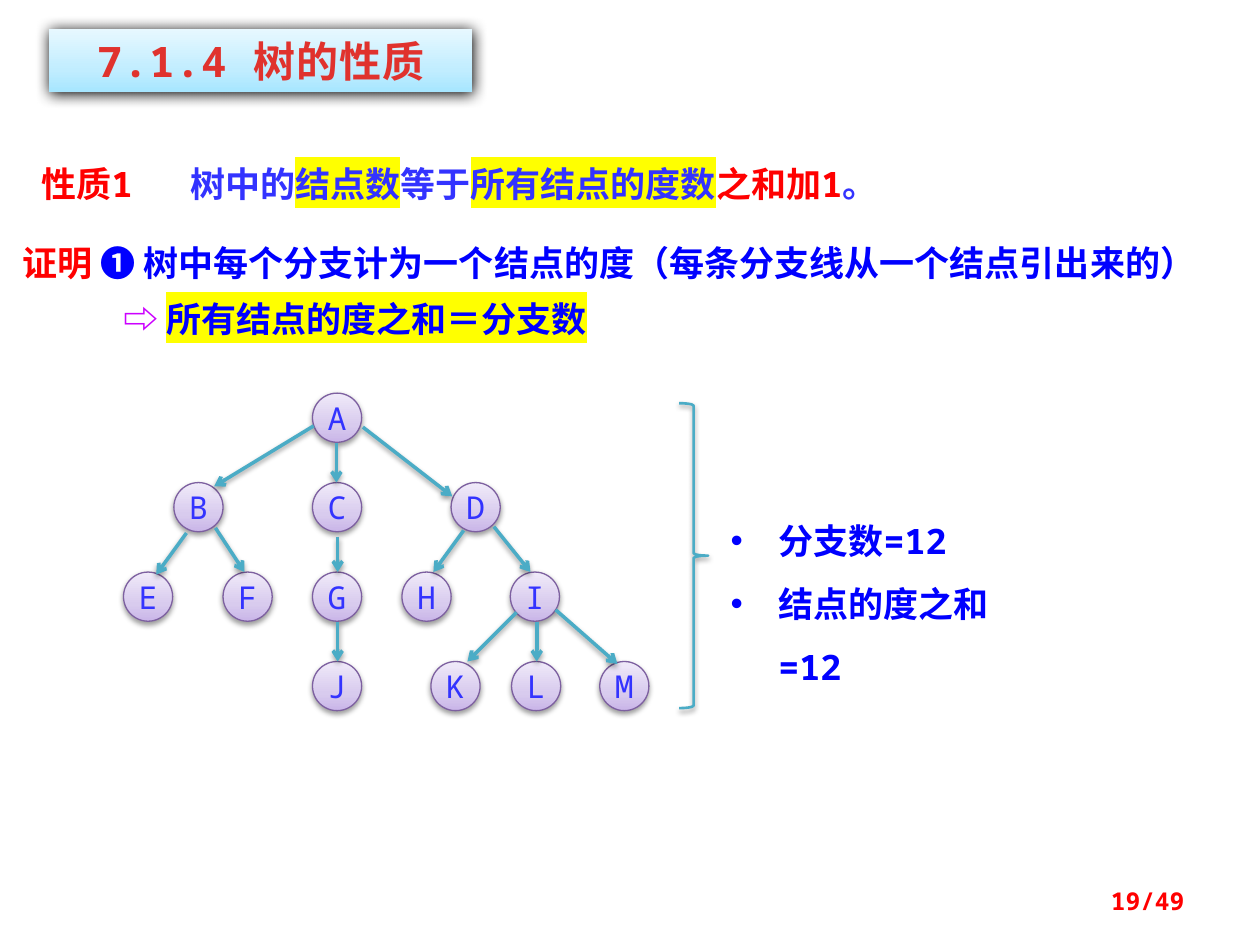
import copy
from dataclasses import dataclass
from typing import Optional, Sequence

import pptx
import pptx.util
import pptx.dml.color
import pptx.enum.shapes
import pptx.enum.text
import pptx.oxml
import pptx.oxml.ns
from pptx.util import Inches

qn = pptx.oxml.ns.qn
Pt = pptx.util.Pt
ALIGN = pptx.enum.text.PP_ALIGN
ANCHOR = pptx.enum.text.MSO_ANCHOR
SHAPE = pptx.enum.shapes.MSO_SHAPE


@dataclass(frozen=True)
class Theme:
    font: str = "Noto Sans Mono"
    title_size: int = 24
    body_size: int = 20
    node_size: int = 18
    page_size: int = 14
    red: str = "FF0000"
    blue: str = "0000FF"
    soft_blue: str = "3333FF"
    magenta: str = "CC00FF"
    yellow: str = "FFFF00"
    title: str = "E0322D"
    teal: str = "4BACC6"
    node_line: str = "7D60A0"
    title_fill: tuple = ((0, "A7E6FF"), (0.35, "C1EDFF"), (1, "E7F8FF"))
    node_fill: tuple = ((0, "C9B5E8"), (0.35, "D8CBEE"), (1, "F0EAF9"))


@dataclass(frozen=True)
class Shadow:
    alpha: int
    blur: float
    dist: float


@dataclass(frozen=True)
class Span:
    text: str
    color: str
    highlight: Optional[str] = None


@dataclass(frozen=True)
class Node:
    name: str
    x: float
    level: int


@dataclass(frozen=True)
class Branch:
    x1: float
    y1: float
    x2: float
    y2: float


T = Theme()
SOFT = Shadow(38, 3.1, 1.6)
STRONG = Shadow(100, 8.5, 1)
NODE_SIZE = 0.39
TREE_TOP, LEVEL_GAP = 3.12, 0.71

NODES = [
    Node("A", 2.48, 0),
    Node("B", 1.38, 1), Node("C", 2.48, 1), Node("D", 3.58, 1),
    Node("E", 0.98, 2), Node("F", 1.77, 2), Node("G", 2.48, 2),
    Node("H", 3.19, 2), Node("I", 4.05, 2),
    Node("J", 2.48, 3), Node("K", 3.42, 3), Node("L", 4.06, 3), Node("M", 4.76, 3),
]
BRANCHES = [
    Branch(2.49, 3.38, 1.7, 3.86), Branch(2.67, 3.52, 2.67, 3.83), Branch(2.88, 3.39, 3.59, 3.94),
    Branch(1.48, 4.23, 1.24, 4.56), Branch(1.71, 4.19, 1.94, 4.54), Branch(2.68, 4.26, 2.68, 4.54),
    Branch(3.68, 4.21, 3.44, 4.54), Branch(3.92, 4.18, 4.21, 4.54), Branch(2.68, 4.94, 2.68, 5.25),
    Branch(4.1, 4.86, 3.71, 5.25), Branch(4.26, 4.94, 4.26, 5.25), Branch(4.41, 4.84, 4.9, 5.27),
]


def rgb(color: str):
    return pptx.dml.color.RGBColor.from_string(color)


def add_xml(parent, tag: str, **attrs):
    el = parent.makeelement(qn(tag), {k: str(v) for k, v in attrs.items()})
    parent.append(el)
    return el


def set_shadow(sp, shadow: Shadow) -> None:
    """Give a shape or connector a black shadow falling straight down."""
    sp_pr = sp._element.spPr
    effects = sp_pr.find(qn("a:effectLst"))
    if effects is None:
        effects = add_xml(sp_pr, "a:effectLst")
    outer = add_xml(effects, "a:outerShdw", blurRad=Pt(shadow.blur), dist=Pt(shadow.dist),
                    dir=90 * 60000, rotWithShape=0)
    color = add_xml(outer, "a:srgbClr", val="000000")
    add_xml(color, "a:alpha", val=shadow.alpha * 1000)


def set_gradient(sp, stops: Sequence[tuple]) -> None:
    sp.fill.gradient()
    sp.fill.gradient_angle = 90
    gs = sp._element.spPr.find(".//" + qn("a:gsLst"))
    gs.insert(1, copy.deepcopy(gs[0]))
    for stop, (position, color) in zip(sp.fill.gradient_stops, stops):
        stop.position = position
        stop.color.rgb = rgb(color)


def add_shape(s, kind, x: float, y: float, w: float, h: float, shadow: Shadow,
              stops: Sequence[tuple] = (), line: Optional[str] = None, width: float = 0.75):
    sp = s.shapes.add_shape(kind, Inches(x), Inches(y), Inches(w), Inches(h))
    sp.shadow.inherit = False
    if stops:
        set_gradient(sp, stops)
    else:
        sp.fill.background()
    if line:
        sp.line.color.rgb = rgb(line)
        sp.line.width = Pt(width)
    else:
        sp.line.fill.background()
    set_shadow(sp, shadow)
    return sp


def add_textbox(s, x: float, y: float, w: float, h: float):
    tf = s.shapes.add_textbox(Inches(x), Inches(y), Inches(w), Inches(h)).text_frame
    tf.word_wrap = True
    return tf


def write(p, spans: Sequence[Span], size: int, bold: bool = True, align=None, spacing=None) -> None:
    p.alignment = align
    p.line_spacing = spacing
    p.font.name = T.font
    p.font.size = Pt(size)
    p.font.bold = bold
    for span in spans:
        r = p.add_run()
        r.text = span.text
        r.font.color.rgb = rgb(span.color)
        if span.highlight:
            mark = add_xml(r._r.get_or_add_rPr(), "a:highlight")
            add_xml(mark, "a:srgbClr", val=span.highlight)


def add_node(s, node: Node) -> None:
    sp = add_shape(s, SHAPE.OVAL, node.x, TREE_TOP + node.level * LEVEL_GAP,
                   NODE_SIZE, NODE_SIZE, SOFT, T.node_fill, T.node_line)
    tf = sp.text_frame
    tf.word_wrap = False
    tf.vertical_anchor = ANCHOR.MIDDLE
    write(tf.paragraphs[0], [Span(node.name, T.soft_blue)], T.node_size, False, ALIGN.CENTER)


def add_branch(s, b: Branch) -> None:
    line = s.shapes.add_connector(pptx.enum.shapes.MSO_CONNECTOR.STRAIGHT,
                                  Inches(b.x1), Inches(b.y1), Inches(b.x2), Inches(b.y2))
    line.line.color.rgb = rgb(T.teal)
    line.line.width = Pt(2)
    add_xml(line.line._get_or_add_ln(), "a:tailEnd", type="arrow")
    set_shadow(line, SOFT)


def main() -> None:
    prs = pptx.Presentation()
    prs.slide_width, prs.slide_height = Inches(10), Inches(7.5)
    s = prs.slides.add_slide(prs.slide_layouts[6])

    # Property statement, with a tab between label and sentence
    p = add_textbox(s, 0.23, 1.14, 7.89, 0.5).paragraphs[0]
    tabs = add_xml(p._p.get_or_add_pPr(), "a:tabLst")
    add_xml(tabs, "a:tab", pos=Inches(1.18), algn="l")
    write(p, [Span("性质1\t", T.red), Span("树中的", T.soft_blue),
              Span("结点数", T.soft_blue, T.yellow), Span("等于", T.soft_blue),
              Span("所有结点的度数", T.soft_blue, T.yellow),
              Span("之和加1", T.red), Span("。", T.soft_blue)], T.body_size, spacing=1.3)

    # Title
    sp = add_shape(s, SHAPE.RECTANGLE, 0.39, 0.23, 3.36, 0.5, STRONG, T.title_fill)
    p = sp.text_frame.paragraphs[0]
    write(p, [Span("7.1.4 树的性质", T.title)], T.title_size, align=ALIGN.CENTER)
    p.runs[0]._r.get_or_add_rPr().set("spc", "50")

    # Proof
    tf = add_textbox(s, 0.08, 1.76, 9.77, 0.96)
    write(tf.paragraphs[0], [
        Span("证明 ", T.red),
        Span("❶ 树中每个分支计为一个结点的度（每条分支线从一个结点引出来的）", T.blue),
    ], T.body_size, spacing=Pt(32))
    p = tf.add_paragraph()
    p._p.get_or_add_pPr().set("marL", str(Inches(0.8)))
    write(p, [Span("⇨ ", T.magenta), Span("所有结点的度之和＝分支数", T.blue, T.yellow)],
          T.body_size, spacing=Pt(32))

    # Counts beside the brace
    tf = add_textbox(s, 5.7, 3.91, 2.73, 1.11)
    for i, text in enumerate(["分支数=12", "结点的度之和=12"]):
        p = tf.add_paragraph() if i else tf.paragraphs[0]
        p_pr = p._p.get_or_add_pPr()
        p_pr.set("marL", str(Inches(0.38)))
        p_pr.set("indent", str(Inches(-0.38)))
        add_xml(p_pr, "a:buFont", typeface="Arial")
        add_xml(p_pr, "a:buChar", char="•")
        write(p, [Span(text, T.blue)], T.body_size, spacing=1.5)
    add_shape(s, SHAPE.RIGHT_BRACE, 5.39, 3.2, 0.23, 2.42, SOFT, line=T.teal, width=1.5)

    # Tree
    for node in NODES:
        add_node(s, node)
    for branch in BRANCHES:
        add_branch(s, branch)

    # Page number
    tf = add_textbox(s, 7.17, 6.95, 2.33, 0.4)
    tf.vertical_anchor = ANCHOR.MIDDLE
    write(tf.paragraphs[0], [Span("19/49", T.red)], T.page_size, align=ALIGN.RIGHT)

    prs.save("out.pptx")


if __name__ == "__main__":
    main()
